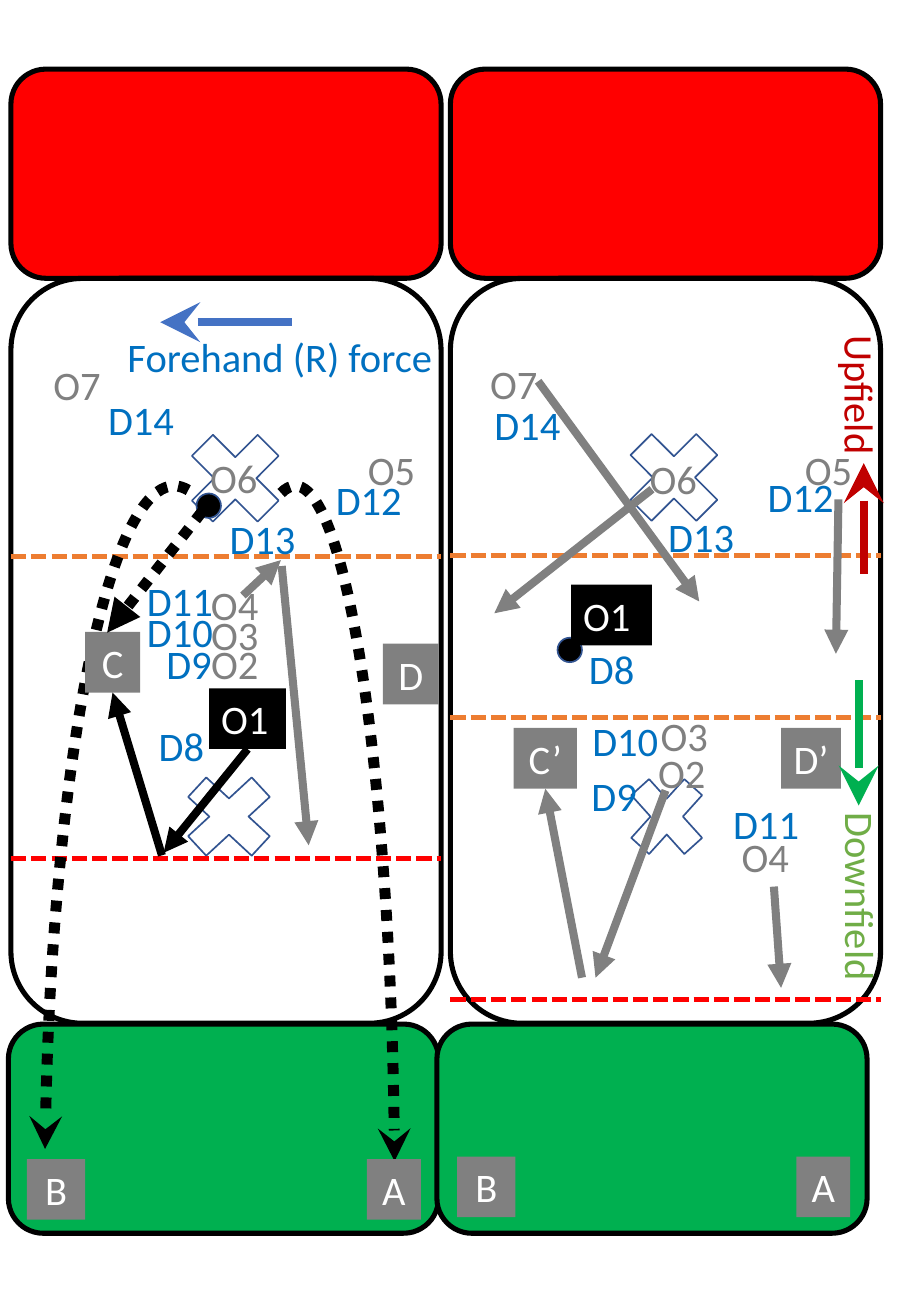
from pptx import Presentation
from pptx.dml.color import RGBColor
from pptx.enum import dml, shapes, text
from pptx.oxml import ns, xmlchemy
from pptx.util import Pt

SHAPE = shapes.MSO_SHAPE
DASH = dml.MSO_LINE.SQUARE_DOT
DOT = dml.MSO_LINE.ROUND_DOT
COLOURS = {
    "black": "000000", "white": "FFFFFF", "red": "FF0000", "green": "00B050",
    "offence": "808080", "defence": "0070C0", "outline": "325491",
    "force": "4472C4", "stack": "ED7D31", "upfield": "C00000", "downfield": "70AD47",
}
LABEL_HEIGHT = 36
ZONE_WIDTH = 255

# Player labels: text, left, top, width
LEFT_PLAYERS = [
    ("O2", 118, 375, 57), ("O3", 118, 358, 57), ("O4", 118, 340.5, 61),
    ("O5", 211, 260, 48), ("O6", 117.5, 265, 66), ("O7", 24.5, 210, 60),
    ("D8", 87, 424, 57), ("D9", 91.5, 375, 57), ("D10", 80, 356.5, 54),
    ("D11", 80, 338, 55.5), ("D12", 192, 278, 55.5), ("D13", 129, 301, 57.5),
    ("D14", 57, 230.5, 75),
]
RIGHT_PLAYERS = [
    ("O2", 383, 440, 55.5), ("O3", 384.5, 418, 60), ("O4", 432.5, 489.5, 52.5),
    ("O5", 470, 260, 48), ("O6", 378, 265.5, 66), ("O7", 283.5, 209.5, 60),
    ("D8", 342, 378, 59), ("D9", 343.5, 453.5, 47), ("D10", 344, 421, 62.5),
    ("D11", 427.5, 470, 58.5), ("D12", 448, 276.5, 55.5), ("D13", 389, 300, 57.5),
    ("D14", 286, 233.5, 75),
]
# Target spaces: text, left, top, width
LEFT_SPACES = [("A", 217.5, 687, 32), ("B", 16, 687, 34.5),
               ("C", 50.5, 374.5, 32.5), ("D", 227, 381.5, 33)]
RIGHT_SPACES = [("A", 472, 685.5, 32), ("B", 271, 685.5, 34.5),
                ("C’", 304.5, 431.5, 37.5), ("D’", 463, 431.5, 35.5)]


def colour(name):
    return RGBColor.from_string(COLOURS[name])


def style_line(item, name, width, dash=None, **ends):
    """Each end is head=(kind, size) or tail=(kind, size)."""
    item.line.color.rgb = colour(name)
    item.line.width = Pt(width)
    if dash is not None:
        item.line.dash_style = dash
    outline = item._element.spPr.find(ns.qn("a:ln"))
    for side in ("head", "tail"):
        if side in ends:
            kind, size = ends[side]
            tip = xmlchemy.OxmlElement(f"a:{side}End")
            tip.set("type", kind)
            tip.set("w", size)
            tip.set("len", size)
            outline.append(tip)


def write(item, words, name, align=text.PP_ALIGN.LEFT):
    frame = item.text_frame
    frame.word_wrap = True
    frame.vertical_anchor = text.MSO_ANCHOR.TOP
    line = frame.paragraphs[0]
    line.text = words
    line.alignment = align
    line.font.name = "Calibri"
    line.font.size = Pt(24)
    line.font.color.rgb = colour(name)


def add_figure(slide, kind, box, fill=None, line="black", width=3):
    figure = slide.shapes.add_shape(kind, *map(Pt, box))
    figure.shadow.inherit = False
    if fill:
        figure.fill.solid()
        figure.fill.fore_color.rgb = colour(fill)
    else:
        figure.fill.background()
    if line:
        style_line(figure, line, width)
    else:
        figure.line.fill.background()
    return figure


def add_label(slide, words, left, top, width, name, rotation=0):
    label = slide.shapes.add_textbox(Pt(left), Pt(top), Pt(width), Pt(LABEL_HEIGHT))
    label.rotation = rotation
    write(label, words, name)
    return label


def add_box(slide, words, left, top, width, fill, align=text.PP_ALIGN.CENTER):
    box = add_figure(slide, SHAPE.RECTANGLE, (left, top, width, LABEL_HEIGHT), fill, None)
    write(box, words, "white", align)
    return box


def add_line(slide, start, end, name, width, dash=None, **ends):
    line = slide.shapes.add_connector(
        shapes.MSO_CONNECTOR.STRAIGHT, *map(Pt, (*start, *end)))
    style_line(line, name, width, dash, **ends)
    line._element.spPr.append(xmlchemy.OxmlElement("a:effectLst"))
    return line


def add_run(slide, start, end, name="offence", width=4.75, dash=None):
    return add_line(slide, start, end, name, width, dash, tail=("triangle", "med"))


def add_direction(slide, tip, end, name):
    add_line(slide, tip, end, name, 4.75, head=("stealth", "lg"))


def add_throw(slide, left, width, flip=False):
    throw = add_figure(slide, SHAPE.ARC, (left, 288, width, 849))
    throw.adjustments[0] = 161.319
    throw.adjustments[1] = 202.581
    if flip:
        throw._element.spPr.get_or_add_xfrm().set("flipH", "1")
    style_line(throw, "black", 6.5, DOT, tail=("stealth", "med"))


def add_pitch(slide, end_left, field_left, crosses, dashes):
    add_figure(slide, SHAPE.ROUNDED_RECTANGLE, (end_left, 607, ZONE_WIDTH, 124), "green")
    add_figure(slide, SHAPE.ROUNDED_RECTANGLE, (field_left, 41, ZONE_WIDTH, 124), "red")
    add_figure(slide, SHAPE.ROUNDED_RECTANGLE, (field_left, 165, ZONE_WIDTH, 441.5))
    for cross in crosses:
        add_figure(slide, SHAPE.MATH_MULTIPLY, cross, line="outline", width=1)
    for y, name in dashes:
        add_line(slide, (field_left, y), (field_left + ZONE_WIDTH, y), name, 3, DASH)


def add_players(slide, players, disc):
    labels = {}
    for words, left, top, width in players:
        name = "offence" if words.startswith("O") else "defence"
        labels[words] = add_label(slide, words, left, top, width, name)
    add_figure(slide, SHAPE.OVAL, (*disc, 14.5, 14.5), "black", "outline", 1)
    return labels


def add_spaces(slide, spaces):
    return {space[0]: add_box(slide, *space, "offence") for space in spaces}


def draw_left(slide):
    add_pitch(slide, 5, 6.5, [(99.5, 450.5, 72.5, 67), (102, 246, 75, 75)],
              [(509, "red"), (330, "stack")])
    add_players(slide, LEFT_PLAYERS, (116.5, 292.5))
    handler = add_box(slide, "O1", 124, 408, 45.5, "black", text.PP_ALIGN.LEFT)

    # Force
    add_direction(slide, (95, 191), (173, 191), "force")
    add_label(slide, "Forehand (R) force", 68.5, 193, 204.5, "defence")

    # Long throws and target spaces
    add_throw(slide, 116, 118)
    add_throw(slide, 26.5, 153.5, flip=True)
    spaces = add_spaces(slide, LEFT_SPACES)

    # Cuts and the short throw
    add_run(slide, (146, 444), (97, 505.5), "black").begin_connect(handler, 2)
    add_run(slide, (96, 507), (66, 411), "black").end_connect(spaces["C"], 2)
    add_run(slide, (144, 353), (166.5, 332))
    add_run(slide, (167, 335.5), (183, 501))
    add_run(slide, (120, 303), (63.5, 375), "black", 6.5, DOT)


def draw_right(slide):
    add_pitch(slide, 259, 267, [(365, 450.5, 60.5, 67), (362, 245.5, 75, 75)],
              [(425, "stack"), (592.5, "red"), (329, "stack")])
    players = add_players(slide, RIGHT_PLAYERS, (330.5, 378))
    add_box(slide, "O1", 338.5, 346.5, 48, "black", text.PP_ALIGN.LEFT)
    spaces = add_spaces(slide, RIGHT_SPACES)

    # Cuts
    add_run(slide, (394.5, 468.5), (353, 579.5))
    add_run(slide, (345, 579.5), (323, 468)).end_connect(spaces["C’"], 2)
    add_run(slide, (459, 525.5), (463, 585.5)).begin_connect(players["O4"], 2)
    add_run(slide, (497, 296), (495.5, 387.5))
    add_run(slide, (386.5, 290), (293, 363.5))
    add_run(slide, (319, 226), (414.5, 356.5))

    # Directions of play
    add_label(slide, "Upfield", 462, 222, 96.5, "upfield", 90)
    add_label(slide, "Downfield", 448.5, 518.5, 124, "downfield", 90)
    add_direction(slide, (512, 274.5), (512, 340.5), "upfield")
    add_direction(slide, (509, 477.5), (509, 403), "green")


def main():
    deck = Presentation()
    deck.slide_width, deck.slide_height = Pt(540), Pt(780)
    slide = deck.slides.add_slide(deck.slide_layouts[6])
    draw_left(slide)
    draw_right(slide)
    deck.save("out.pptx")


if __name__ == "__main__":
    main()
